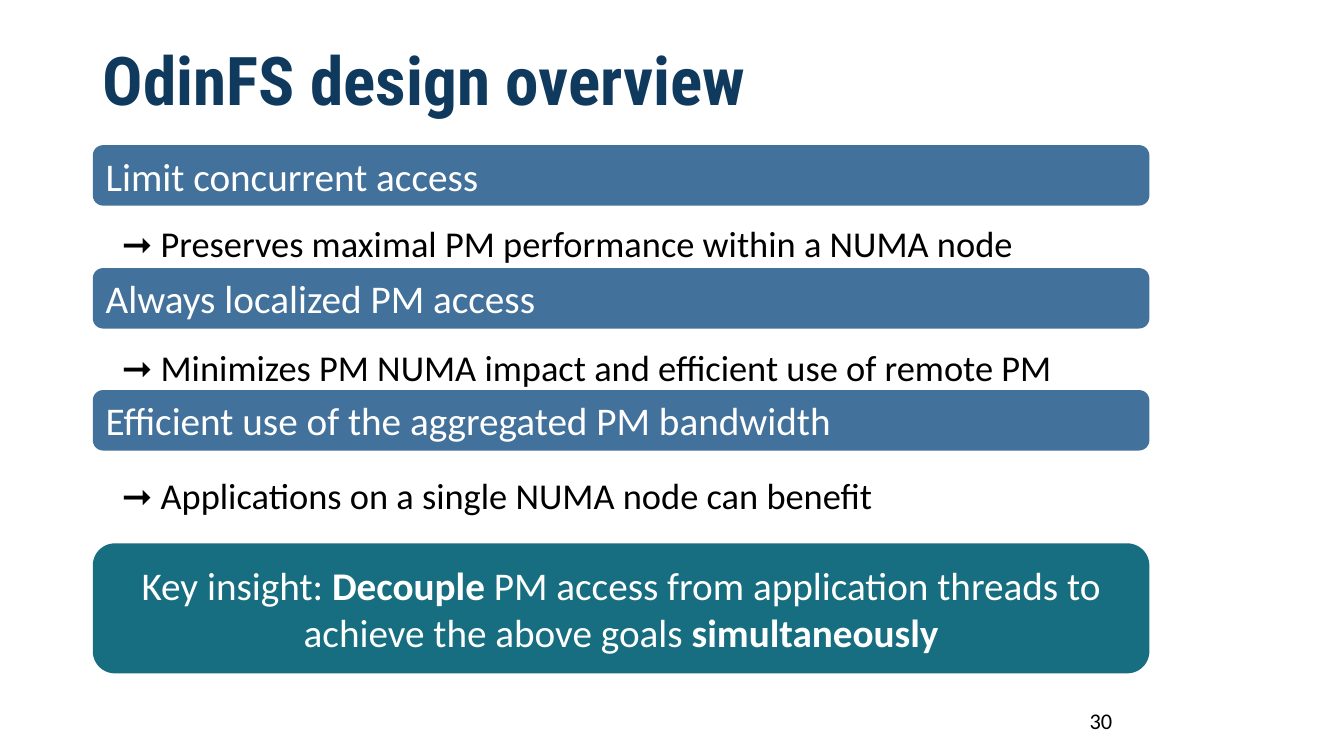
from pptx import Presentation
from pptx.dml.color import RGBColor
from pptx.enum.shapes import MSO_SHAPE
from pptx.enum.text import MSO_ANCHOR, MSO_AUTO_SIZE, PP_ALIGN
from pptx.util import Emu, Pt

PX = 9144
WHITE = RGBColor(0xFF, 0xFF, 0xFF)
BLACK = RGBColor(0x00, 0x00, 0x00)
NAVY = RGBColor(0x0F, 0x3A, 0x5D)
BLUE = RGBColor(0x42, 0x71, 0x9B)
TEAL = RGBColor(0x17, 0x6E, 0x80)
ROUNDED = MSO_SHAPE.ROUNDED_RECTANGLE
TOP, MIDDLE = MSO_ANCHOR.TOP, MSO_ANCHOR.MIDDLE
LEFT, CENTER = PP_ALIGN.LEFT, PP_ALIGN.CENTER
NO_AUTOFIT = MSO_AUTO_SIZE.NONE
TITLE_ONLY = 5

TITLE_BOX = (92, 40, 1163, 87)
NUMBER_BOX = (942, 695, 300, 40)
INSIGHT_BOX = (92, 539, 1048, 129)
GOALS = [
    ((92, 144, 1048, 60), 53, "Limit concurrent access",
     "➞ Preserves maximal PM performance within a NUMA node"),
    ((92, 266, 1048, 60), 54, "Always localized PM access",
     "➞ Minimizes PM NUMA impact and efficient use of remote PM"),
    ((92, 387, 1048, 60), 60, "Efficient use of the aggregated PM bandwidth",
     "➞ Applications on a single NUMA node can benefit"),
]
INSIGHT = [
    ("Key insight: ", False),
    ("Decouple", True),
    (" PM access from application threads to achieve the above goals ", False),
    ("simultaneously", True),
]


def to_emu(box):
    """Turn a box in px into EMU lengths."""
    return [Emu(length * PX) for length in box]


def write_text(shape, runs, size=28, color=WHITE, font="Calibri", align=LEFT,
               anchor=MIDDLE, spacing=1.0, inset=(10, 5)):
    """Fill a shape with one paragraph of (text, bold) runs."""
    frame = shape.text_frame
    frame.word_wrap = True
    frame.auto_size = NO_AUTOFIT
    frame.vertical_anchor = anchor
    frame.margin_left = frame.margin_right = Emu(inset[0] * PX)
    frame.margin_top = frame.margin_bottom = Emu(inset[1] * PX)
    paragraph = frame.paragraphs[0]
    paragraph.alignment = align
    paragraph.line_spacing = spacing
    for text, bold in runs:
        run = paragraph.add_run()
        run.text = text
        run.font.name = font
        run.font.size = Pt(size)
        run.font.bold = bold
        run.font.color.rgb = color


def add_panel(slide, box, fill):
    """Add a plain rounded panel without outline."""
    panel = slide.shapes.add_shape(ROUNDED, *to_emu(box))
    panel.adjustments[0] = 0.17
    panel.shadow.inherit = False
    panel.fill.solid()
    panel.fill.fore_color.rgb = fill
    panel.line.fill.background()
    return panel


def add_title(slide, box, text):
    """Place and format the title placeholder."""
    title = slide.shapes.title
    title.left, title.top, title.width, title.height = to_emu(box)
    write_text(title, [(text, True)], size=48, color=NAVY,
               font="Roboto Condensed", spacing=0.9)


def add_goal(slide, box, note_offset, heading, note):
    """Add a goal bar with its consequence underneath."""
    left, top, width, _ = box
    write_text(add_panel(slide, box, BLUE), [(heading, False)])
    note_box = (left + 19, top + note_offset, width + 102, 75)
    write_text(slide.shapes.add_textbox(*to_emu(note_box)), [(note, False)],
               size=26, color=BLACK, anchor=TOP, spacing=1.4)


def add_insight(slide, box):
    """Add the key insight panel."""
    write_text(add_panel(slide, box, TEAL), INSIGHT, align=CENTER, inset=(13, 13))


def add_page_number(slide, box, number):
    """Add the page number."""
    write_text(slide.shapes.add_textbox(*to_emu(box)), [(number, False)],
               size=16, color=BLACK, align=CENTER)


def main():
    """Build and save the slide."""
    presentation = Presentation()
    presentation.slide_width, presentation.slide_height = to_emu((1333, 750))
    slide = presentation.slides.add_slide(presentation.slide_layouts[TITLE_ONLY])
    add_title(slide, TITLE_BOX, "OdinFS design overview")
    for box, note_offset, heading, note in GOALS:
        add_goal(slide, box, note_offset, heading, note)
    add_insight(slide, INSIGHT_BOX)
    add_page_number(slide, NUMBER_BOX, "30")
    presentation.save("out.pptx")


if __name__ == "__main__":
    main()
